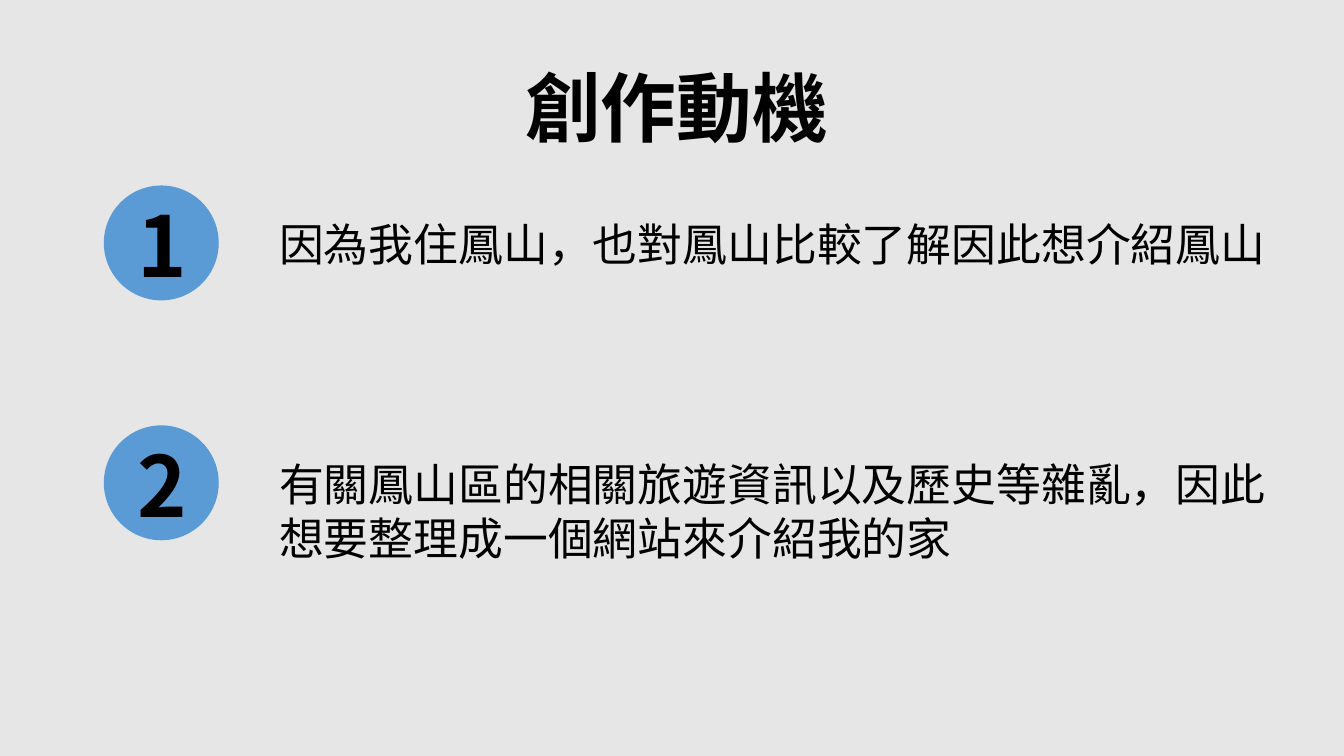
import pptx
import pptx.dml.color
import pptx.enum.shapes
import pptx.enum.text
import pptx.oxml.ns
import pptx.util
import lxml.etree

Inches = pptx.util.Inches
RGBColor = pptx.dml.color.RGBColor
Align = pptx.enum.text.PP_ALIGN

BLACK = RGBColor(0x00, 0x00, 0x00)
BLUE = RGBColor(0x5B, 0x9B, 0xD5)
GRAY = RGBColor(0xE7, 0xE6, 0xE6)

TOP = 1.84
STEP = 2.38
ITEMS = [
    ("因為我住鳳山，也對鳳山比較了解因此想介紹鳳山", 0.64),
    ("有關鳳山區的相關旅遊資訊以及歷史等雜亂，因此想要整理成一個網站來介紹我的家", 1.18),
]


class Page:
    face = "Noto Sans CJK SC"

    def __init__(self, slide):
        self.slide = slide
        fill = slide.background.fill
        fill.solid()
        fill.fore_color.rgb = GRAY

    def text(self, words, left, top, width, height, size, bold=False, align=Align.LEFT):
        box = self.slide.shapes.add_textbox(
            Inches(left), Inches(top), Inches(width), Inches(height))
        frame = box.text_frame
        frame.word_wrap = True
        frame.auto_size = pptx.enum.text.MSO_AUTO_SIZE.SHAPE_TO_FIT_TEXT
        para = frame.paragraphs[0]
        para.alignment = align
        run = para.add_run()
        run.text = words
        look = {"name": self.face, "size": pptx.util.Pt(size), "bold": bold}
        for key, value in look.items():
            setattr(run.font, key, value)
        run.font.color.rgb = BLACK
        east = lxml.etree.SubElement(run._r.get_or_add_rPr(), pptx.oxml.ns.qn("a:ea"))
        east.set("typeface", self.face)

    def disc(self, left, top, size):
        disc = self.slide.shapes.add_shape(
            pptx.enum.shapes.MSO_SHAPE.OVAL,
            Inches(left), Inches(top), Inches(size), Inches(size))
        disc.shadow.inherit = False
        disc.fill.solid()
        disc.fill.fore_color.rgb = BLUE
        disc.line.fill.background()

    def item(self, mark, words, top, height):
        self.disc(1.03, top, 1.14)
        self.text(mark, 1.27, top + 0.03, 0.66, 1.11, 60, bold=True)
        self.text(words, 2.67, top + 0.26, 10.23, height, 32)


def main():
    deck = pptx.Presentation()
    deck.slide_width = Inches(13.33)
    deck.slide_height = Inches(7.5)
    page = Page(deck.slides.add_slide(deck.slide_layouts[6]))
    page.text("創作動機", 2.67, 0.56, 8.08, 1.01, 54, bold=True, align=Align.CENTER)
    for index, (words, height) in enumerate(ITEMS):
        page.item(str(index + 1), words, TOP + index * STEP, height)
    deck.save("out.pptx")


if __name__ == "__main__":
    main()
